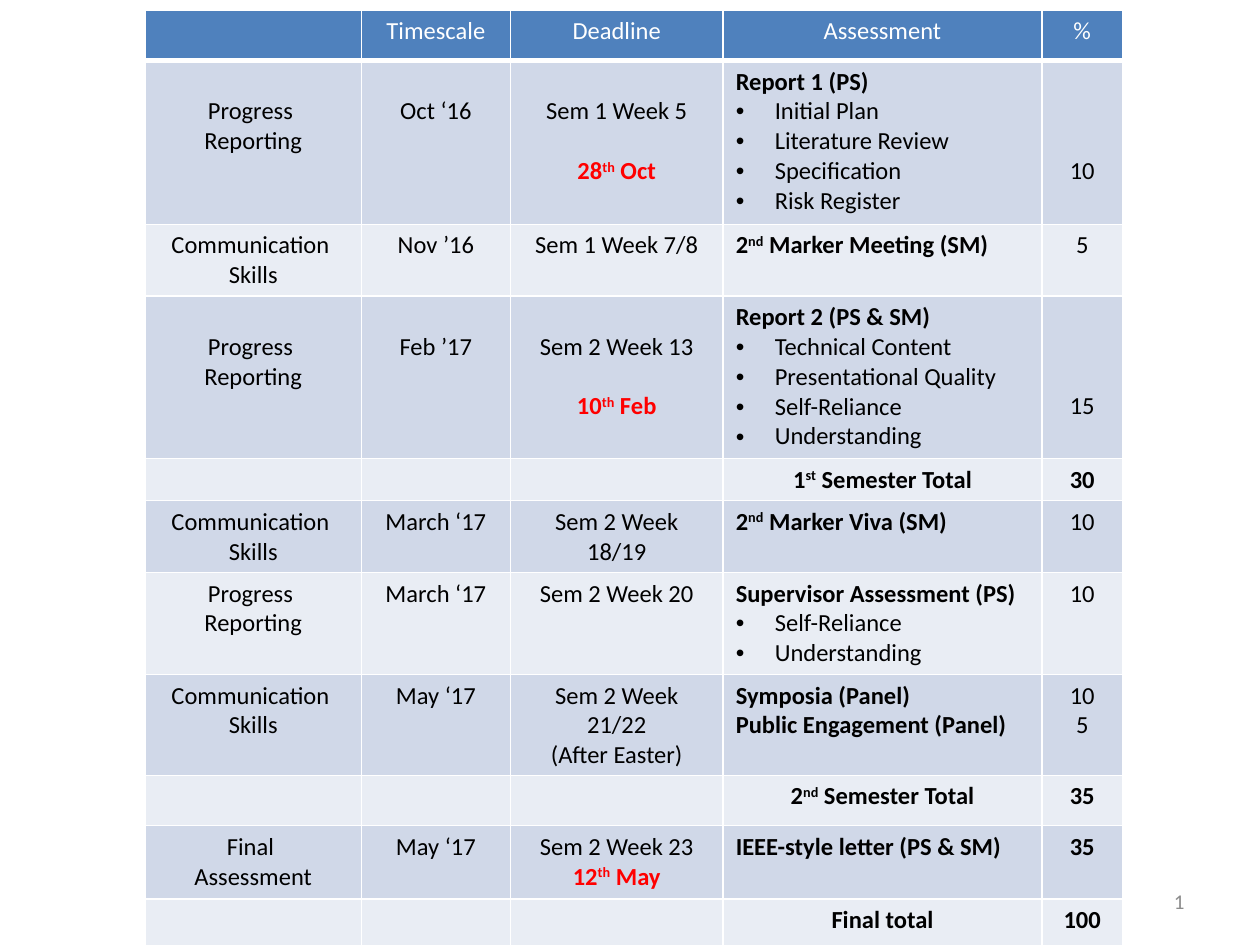
from dataclasses import dataclass

import lxml.etree
import pptx
import pptx.dml.color
import pptx.enum.text
import pptx.oxml.ns
import pptx.util

Inches = pptx.util.Inches
Pt = pptx.util.Pt
Align = pptx.enum.text.PP_ALIGN
qn = pptx.oxml.ns.qn


@dataclass(frozen=True)
class Theme:
    font: str = "Calibri"
    text_size: int = 14
    number_size: int = 12
    line_pitch: float = 17  # points from one text line to the next
    header: str = "4F81BD"
    bands: tuple = ("D0D8E8", "E9EDF4")
    white: str = "FFFFFF"
    black: str = "000000"
    red: str = "FF0000"
    grey: str = "8C8C8C"


THEME = Theme()


@dataclass(frozen=True)
class Line:
    text: str
    bold: bool = False
    colour: str = THEME.black
    align: Align = Align.CENTER
    bullet: bool = False
    lines_before: int = 0


def heading(text):
    return Line(text, bold=True, align=Align.JUSTIFY)


def bullets(*texts):
    return [Line(text, align=Align.JUSTIFY, bullet=True) for text in texts]


def deadline(text, lines_before=0):
    return Line(text, bold=True, colour=THEME.red, lines_before=lines_before)


def total(text):
    return Line(text, bold=True)


def header(text):
    return Line(text, colour=THEME.white)


PROGRESS = ["Progress ", "Reporting"]
COMMUNICATION = ["Communication ", "Skills"]
LEVEL = (0, 0, 0, 0, 0)
LOWERED = (1, 1, 1, 0, 3)  # text lines left free at the top of each cell

COLUMN_WIDTHS = (1.72, 1.18, 1.69, 2.53, 0.64)

# Row height, free lines per cell, cell contents; ^ encloses superscripts
ROWS = [
    (0.4, LEVEL, [[], [header("Timescale")], [header("Deadline")],
                  [header("Assessment")], [header("%")]]),
    (1.3, LOWERED, [PROGRESS, ["Oct ‘16"],
                    ["Sem 1 Week 5", deadline("28^th^ Oct", 1)],
                    [heading("Report 1 (PS)")]
                    + bullets("Initial Plan ", "Literature Review",
                              "Specification ", "Risk Register"), ["10"]]),
    (0.57, LEVEL, [COMMUNICATION, ["Nov ’16"], ["Sem 1 Week 7/8"],
                   [heading("2^nd^ Marker Meeting (SM)")], ["5"]]),
    (1.29, LOWERED, [PROGRESS, ["Feb ’17"],
                     ["Sem 2 Week 13", deadline("10^th^ Feb", 1)],
                     [heading("Report 2 (PS & SM)")]
                     + bullets("Technical Content", "Presentational Quality",
                               "Self-Reliance", "Understanding"), ["15"]]),
    (0.33, LEVEL, [[], [], [], [total("1^st^ Semester Total")], [total("30")]]),
    (0.57, LEVEL, [COMMUNICATION, ["March ‘17"], ["Sem 2 Week 18/19"],
                   [heading("2^nd^ Marker Viva (SM)")], ["10"]]),
    (0.81, LEVEL, [PROGRESS, ["March ‘17"], ["Sem 2 Week 20"],
                   [heading("Supervisor Assessment (PS)")]
                   + bullets("Self-Reliance", "Understanding"), ["10"]]),
    (0.57, LEVEL, [COMMUNICATION, ["May ‘17"],
                   ["Sem 2 Week 21/22", "(After Easter)"],
                   [heading("Symposia (Panel)"),
                    heading("Public Engagement (Panel)")], ["10", "5"]]),
    (0.4, LEVEL, [[], [], [], [total("2^nd^ Semester Total")], [total("35")]]),
    (0.58, LEVEL, [["Final ", "Assessment"], ["May ‘17"],
                   ["Sem 2 Week 23", deadline("12^th^ May")],
                   [heading("IEEE-style letter (PS & SM)")], [total("35")]]),
    (0.4, LEVEL, [[], [], [], [total("Final total")], [total("100")]]),
]


def add_text(paragraph, text, *, size=THEME.text_size, colour=THEME.black,
             bold=False, align=Align.CENTER):
    """Write text into a paragraph, raising the parts enclosed in ^."""
    paragraph.alignment = align
    for index, part in enumerate(text.split("^")):
        run = paragraph.add_run()
        run.text = part
        run.font.name = THEME.font
        run.font.size = Pt(size)
        run.font.bold = bold
        run.font.color.rgb = pptx.dml.color.RGBColor.from_string(colour)
        if index % 2:
            run._r.get_or_add_rPr().set("baseline", "30000")


def add_bullet(paragraph):
    properties = paragraph._p.get_or_add_pPr()
    properties.set("marL", str(Inches(0.31)))
    properties.set("indent", str(Inches(-0.31)))
    lxml.etree.SubElement(properties, qn("a:buFont"), typeface="Arial")
    lxml.etree.SubElement(properties, qn("a:buChar"), char="•")


def set_borders(cell, bottom_width=1):
    properties = cell._tc.get_or_add_tcPr()
    for side in ("L", "R", "T", "B"):
        width = bottom_width if side == "B" else 1
        border = lxml.etree.SubElement(properties, qn(f"a:ln{side}"), w=str(Pt(width)))
        fill = lxml.etree.SubElement(border, qn("a:solidFill"))
        lxml.etree.SubElement(fill, qn("a:srgbClr"), val=THEME.white)


def fill_cell(cell, lines, *, fill, lines_above=0, bottom_width=1):
    set_borders(cell, bottom_width)
    cell.fill.solid()
    cell.fill.fore_color.rgb = pptx.dml.color.RGBColor.from_string(fill)
    cell.margin_top = Inches(0.05) + Pt(lines_above * THEME.line_pitch)
    frame = cell.text_frame
    if not lines:
        # Keep empty cells from stretching the row
        lxml.etree.SubElement(frame.paragraphs[0]._p, qn("a:endParaRPr"),
                              sz=str(THEME.text_size * 100))
    for index, item in enumerate(lines):
        line = Line(item) if isinstance(item, str) else item
        paragraph = frame.add_paragraph() if index else frame.paragraphs[0]
        if line.lines_before:
            paragraph.space_before = Pt(line.lines_before * THEME.line_pitch)
        if line.bullet:
            add_bullet(paragraph)
        add_text(paragraph, line.text, colour=line.colour, bold=line.bold,
                 align=line.align)


def add_schedule(slide):
    height = sum(row[0] for row in ROWS)
    table = slide.shapes.add_table(
        len(ROWS), len(COLUMN_WIDTHS), Inches(1.15), Inches(0.08),
        Inches(sum(COLUMN_WIDTHS)), Inches(height)).table
    table.horz_banding = False
    for column, width in zip(table.columns, COLUMN_WIDTHS):
        column.width = Inches(width)
    for index, (height, lines_above, cells) in enumerate(ROWS):
        table.rows[index].height = Inches(height)
        fill = THEME.bands[(index - 1) % 2] if index else THEME.header
        for cell, lines, above in zip(table.rows[index].cells, cells, lines_above):
            fill_cell(cell, lines, fill=fill, lines_above=above,
                      bottom_width=1 if index else 3)


def add_page_number(slide, number):
    box = slide.shapes.add_textbox(Inches(7.17), Inches(6.95), Inches(2.33), Inches(0.4))
    frame = box.text_frame
    frame.word_wrap = True
    frame.vertical_anchor = pptx.enum.text.MSO_ANCHOR.MIDDLE
    add_text(frame.paragraphs[0], number, size=THEME.number_size,
             colour=THEME.grey, align=Align.RIGHT)


def main():
    presentation = pptx.Presentation()
    presentation.slide_width = Inches(10)
    presentation.slide_height = Inches(7.5)
    slide = presentation.slides.add_slide(presentation.slide_layouts[6])
    add_page_number(slide, "1")
    add_schedule(slide)
    presentation.save("out.pptx")


if __name__ == "__main__":
    main()
